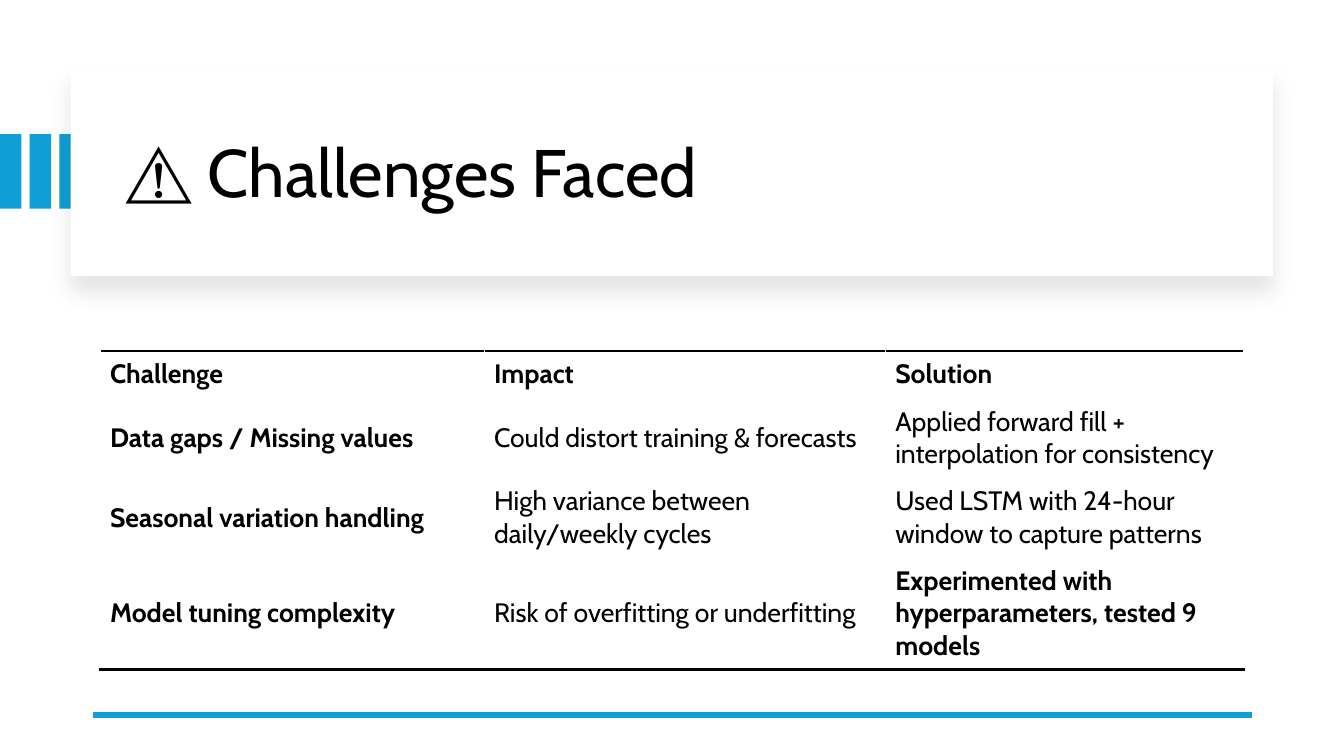
from lxml import etree
from pptx import Presentation
from pptx.dml.color import RGBColor
from pptx.enum import shapes, text
from pptx.oxml import ns
from pptx.util import Cm, Pt

BLUE = RGBColor(0x0F, 0x9E, 0xD5)
BLACK = RGBColor(0, 0, 0)
WHITE = RGBColor(255, 255, 255)
FONT = "Cabin"

HEADINGS = ("Challenge", "Impact", "Solution")
CHALLENGES = (
    ("Data gaps / Missing values", "Could distort training & forecasts",
     "Applied forward fill + interpolation for consistency"),
    ("Seasonal variation handling", "High variance between daily/weekly cycles",
     "Used LSTM with 24-hour window to capture patterns"),
    ("Model tuning complexity", "Risk of overfitting or underfitting",
     "Experimented with hyperparameters, tested 9 models"),
)
COLUMN_WIDTHS = (9.68, 10.11, 9.04)
ROW_HEIGHTS = (1.19, 2.01, 2.01, 2.82)


def add_element(parent, tag, **attributes):
    return etree.SubElement(parent, ns.qn(tag), attributes)


def write(paragraph, words, size, bold=False):
    span = paragraph.add_run()
    span.text = words
    span.font.name = FONT
    span.font.size = Pt(size)
    span.font.bold = bold
    span.font.color.rgb = BLACK


def add_rectangle(page, left, top, width, height, color):
    box = page.shapes.add_shape(shapes.MSO_SHAPE.RECTANGLE,
                                Cm(left), Cm(top), Cm(width), Cm(height))
    box.shadow.inherit = False
    box.fill.solid()
    box.fill.fore_color.rgb = color
    box.line.fill.background()
    return box


def add_stripes(page, left, top, height):
    for number in range(3):
        add_rectangle(page, left + number * 0.75, top, 0.54, height, BLUE)


def add_soft_shadow(box):
    effects = box._element.spPr.find(ns.qn("a:effectLst"))
    shadow = add_element(effects, "a:outerShdw", blurRad=str(Pt(15)), dist=str(Pt(11)),
                         dir="5400000", algn="t", rotWithShape="0")
    color = add_element(shadow, "a:srgbClr", val=str(BLACK))
    add_element(color, "a:alpha", val="10000")


def add_title_card(page, left, top, width, height):
    add_soft_shadow(add_rectangle(page, left, top, width, height, WHITE))
    title = page.shapes.title
    page.shapes._spTree.append(title._element)
    title.left, title.top = Cm(left + 1.12), Cm(top + 0.56)
    title.width, title.height = Cm(width - 2.03), Cm(height - 0.94)
    frame = title.text_frame
    frame.word_wrap = True
    frame.auto_size = text.MSO_AUTO_SIZE.NONE
    frame.vertical_anchor = text.MSO_ANCHOR.MIDDLE
    paragraph = frame.paragraphs[0]
    paragraph.alignment = text.PP_ALIGN.LEFT
    paragraph.line_spacing = 0.9
    write(paragraph, "⚠ Challenges Faced", 48)


def add_rule(page, left, top, width):
    rule = page.shapes.add_connector(shapes.MSO_CONNECTOR.STRAIGHT,
                                     Cm(left + width), Cm(top), Cm(left), Cm(top))
    rule.line.color.rgb = BLUE
    rule.line.width = Pt(4.5)
    add_element(rule._element.spPr, "a:effectLst")


def add_border(cell, tag):
    border = etree.Element(ns.qn(tag), {"w": str(Pt(2))})
    fill = add_element(border, "a:solidFill")
    add_element(fill, "a:srgbClr", val=str(BLACK))
    cell._tc.get_or_add_tcPr().insert(0, border)


def add_challenge_table(page, left, top):
    rows = (HEADINGS,) + CHALLENGES
    last_row, last_column = len(rows) - 1, len(HEADINGS) - 1
    table = page.shapes.add_table(len(rows), len(HEADINGS), Cm(left), Cm(top),
                                  Cm(sum(COLUMN_WIDTHS)), Cm(sum(ROW_HEIGHTS))).table
    table.first_row = table.horz_banding = False
    for column, width in zip(table.columns, COLUMN_WIDTHS):
        column.width = Cm(width)
    for row, height in zip(table.rows, ROW_HEIGHTS):
        row.height = Cm(height)
    for row, entries in enumerate(rows):
        for column, words in enumerate(entries):
            cell = table.cell(row, column)
            cell.fill.solid()
            cell.fill.fore_color.rgb = WHITE
            cell.vertical_anchor = text.MSO_ANCHOR.MIDDLE
            bold = row == 0 or column == 0 or (row, column) == (last_row, last_column)
            write(cell.text_frame.paragraphs[0], words, 19, bold)
            if row == 0:
                add_border(cell, "a:lnT")
            if row == last_row:
                add_border(cell, "a:lnB")


def add_challenges_slide(deck):
    page = deck.slides.add_slide(deck.slide_layouts[5])
    page.background.fill.solid()
    page.background.fill.fore_color.rgb = WHITE
    add_stripes(page, 0, 3.38, 1.88)
    add_title_card(page, 1.78, 1.7, 30.3, 5.26)
    add_rule(page, 2.34, 18.01, 29.21)
    add_challenge_table(page, 2.52, 8.84)


def main():
    deck = Presentation()
    deck.slide_width, deck.slide_height = Cm(33.87), Cm(19.05)
    add_challenges_slide(deck)
    deck.save("out.pptx")


if __name__ == "__main__":
    main()
